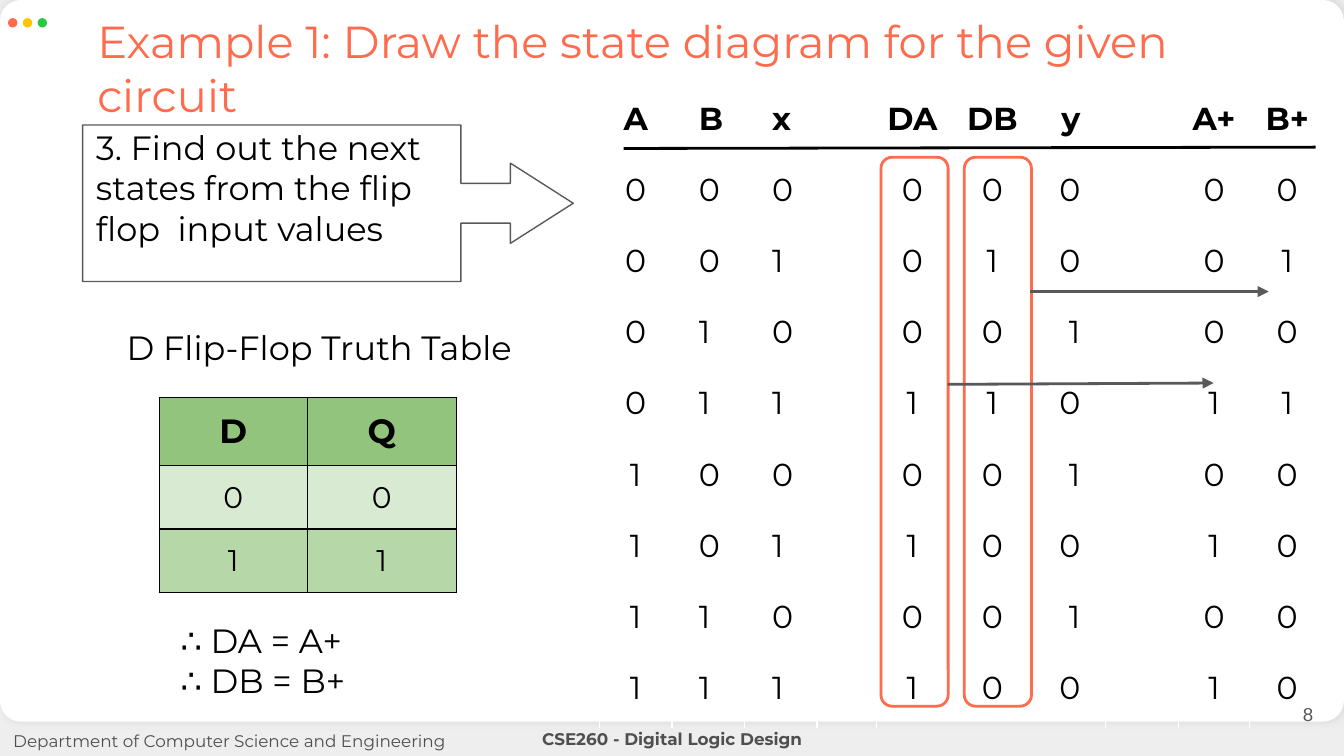
from lxml import etree
from pptx import Presentation
from pptx.dml.color import RGBColor
from pptx.enum.shapes import MSO_CONNECTOR, MSO_SHAPE
from pptx.enum.text import MSO_ANCHOR, MSO_AUTO_SIZE, PP_ALIGN
from pptx.oxml import parse_xml
from pptx.oxml.ns import nsdecls, qn
from pptx.util import Emu, Pt

LEFT, CENTER, RIGHT = PP_ALIGN.LEFT, PP_ALIGN.CENTER, PP_ALIGN.RIGHT
TOP, MIDDLE = MSO_ANCHOR.TOP, MSO_ANCHOR.MIDDLE
ROUNDED, OVAL = MSO_SHAPE.ROUNDED_RECTANGLE, MSO_SHAPE.OVAL
CALLOUT = MSO_SHAPE.RIGHT_ARROW_CALLOUT
STRAIGHT = MSO_CONNECTOR.STRAIGHT

EMU_PER_PX = 4572  # 200 px to the inch
COLORS = {
    "background": "EEEEEE", "white": "FFFFFF", "black": "000000",
    "accent": "FF6B4D", "yellow": "FFC600", "green": "28C840",
    "gray": "595959", "footer": "4F4F4F",
    "header": "93C47D", "light row": "D9EAD3", "dark row": "B6D7A8",
}
PLAIN_TABLE_STYLE = "{2D5ABB26-0587-4C30-8999-92F81FD0307C}"

STATE_HEADER = ["A", "B", "x", "", "DA", "DB", "y", "", "A+", "B+"]
# Each row holds A B x, DA DB y, A+ B+
STATE_ROWS = ["000 000 00", "001 010 01", "010 001 00", "011 110 11",
              "100 001 00", "101 100 10", "110 001 00", "111 100 10"]
STATE_WIDTHS = [108, 108, 108, 88, 116, 114, 112, 108, 106, 112]
# Left inset, right inset and alignment where a column is not plainly centred
COLUMN_LAYOUT = {1: (40, 0, LEFT), 2: (41, 0, LEFT), 4: (0, 8, CENTER), 6: (0, 38, RIGHT)}
UNRULED_COLUMNS = (4, 5, 6)


def px(*values):
    """Turn px into EMU."""
    lengths = [Emu(value * EMU_PER_PX) for value in values]
    return lengths if len(lengths) > 1 else lengths[0]


def color(name):
    return RGBColor.from_string(COLORS[name])


def set_values(target, values):
    for name, value in values.items():
        setattr(target, name, value)


def set_margins(target, left, top, right, bottom):
    set_values(target, {"margin_left": px(left), "margin_top": px(top),
                        "margin_right": px(right), "margin_bottom": px(bottom)})


def write_text(frame, lines, size, ink="black", font="Montserrat", bold=False, align=LEFT):
    for index, line in enumerate(lines):
        paragraph = frame.paragraphs[0] if index == 0 else frame.add_paragraph()
        paragraph.alignment = align
        run = paragraph.add_run()
        run.text = line
        set_values(run.font, {"name": font, "size": Pt(size), "bold": bold})
        run.font.color.rgb = color(ink)


def format_frame(frame, anchor=TOP, margins=(20, 20, 20, 20)):
    set_values(frame, {"word_wrap": True, "auto_size": MSO_AUTO_SIZE.NONE,
                       "vertical_anchor": anchor})
    set_margins(frame, *margins)


def add_text(slide, box, lines, size, anchor=TOP, **style):
    frame = slide.shapes.add_textbox(*px(*box)).text_frame
    format_frame(frame, anchor)
    write_text(frame, lines, size, **style)


def add_shape(shapes, kind, box, fill=None, line=None, width=0.75, adjustments=()):
    shape = shapes.add_shape(kind, *px(*box))
    shape.shadow.inherit = False
    for index, value in enumerate(adjustments):
        shape.adjustments[index] = value
    if fill:
        shape.fill.solid()
        shape.fill.fore_color.rgb = color(fill)
    else:
        shape.fill.background()
    if line:
        shape.line.color.rgb = color(line)
        shape.line.width = Pt(width)
    else:
        shape.line.fill.background()
    return shape


def add_line(slide, start, end, ink, arrow=False):
    connector = slide.shapes.add_connector(STRAIGHT, *px(*start, *end))
    connector.line.color.rgb = color(ink)
    connector.line.width = Pt(1.5)
    if arrow:
        etree.SubElement(connector.line._get_or_add_ln(), qn("a:tailEnd"), type="triangle")
    etree.SubElement(connector._element.spPr, qn("a:effectLst"))


def add_panel(slide):
    panel = add_shape(slide.shapes, ROUNDED, (0, 0, 2000, 1074), "white", adjustments=[0.029])
    effects = panel._element.spPr.find(qn("a:effectLst"))
    effects.append(parse_xml(
        f'<a:outerShdw {nsdecls("a")} blurRad="57150" dist="19050" dir="0">'
        '<a:srgbClr val="000000"><a:alpha val="9000"/></a:srgbClr></a:outerShdw>'))


def add_title(slide, text):
    title = slide.shapes.title
    # Bring the title in front of the panel
    title._element.getparent().append(title._element)
    set_values(title, dict(zip(("left", "top", "width", "height"), px(122, 0, 1752, 202))))
    format_frame(title.text_frame, margins=(23, 20, 20, 20))
    write_text(title.text_frame, [text], 24, ink="accent")


def add_table(slide, left, top, widths, heights):
    box = px(left, top, sum(widths), sum(heights))
    table = slide.shapes.add_table(len(heights), len(widths), *box).table
    table._tbl.tblPr.find(qn("a:tableStyleId")).text = PLAIN_TABLE_STYLE
    set_values(table, {"first_row": False, "horz_banding": False})
    for column, width in zip(table.columns, widths):
        column.width = px(width)
    for row, height in zip(table.rows, heights):
        row.height = px(height)
    return table


def add_borders(cell, edges, ink):
    for edge in edges:
        cell._tc.get_or_add_tcPr().append(parse_xml(
            f'<a:ln{edge} {nsdecls("a")} w="9525"><a:solidFill>'
            f'<a:srgbClr val="{COLORS[ink]}"/></a:solidFill></a:ln{edge}>'))


def add_truth_table(slide):
    table = add_table(slide, 237, 592, [220, 222], [88, 84, 84])
    rows = [("DQ", "header", 18), ("00", "light row", 16), ("11", "dark row", 16)]
    for row, (values, fill, size) in enumerate(rows):
        for column, value in enumerate(values):
            cell = table.cell(row, column)
            add_borders(cell, "LRTB", "black")
            cell.fill.solid()
            cell.fill.fore_color.rgb = color(fill)
            cell.vertical_anchor = MIDDLE
            set_margins(cell, 20, 20, 20, 20)
            write_text(cell.text_frame, [value], size, bold=row == 0, align=CENTER)


def add_state_table(slide):
    rows = [STATE_HEADER] + [[value.strip() for value in row] for row in STATE_ROWS]
    table = add_table(slide, 892, 130, STATE_WIDTHS, [106] * len(rows))
    for row, values in enumerate(rows):
        for column, value in enumerate(values):
            cell = table.cell(row, column)
            if column not in UNRULED_COLUMNS:
                add_borders(cell, "L", "white")
            cell.fill.background()
            left, right, align = COLUMN_LAYOUT.get(column, (0, 0, CENTER))
            set_margins(cell, left, 18, right, 0)
            if value:
                write_text(cell.text_frame, [value], 17, bold=row == 0, align=align)


def main():
    presentation = Presentation()
    presentation.slide_width, presentation.slide_height = px(2000, 1125)
    slide = presentation.slides.add_slide(presentation.slide_layouts[5])
    slide.background.fill.solid()
    slide.background.fill.fore_color.rgb = color("background")

    # Window frame with its three dots
    add_panel(slide)
    add_text(slide, (1854, 1020, 120, 86), ["8"], 10, MIDDLE, ink="gray", font="Arial",
             align=RIGHT)
    dots = slide.shapes.add_group_shape()
    for index, fill in enumerate(("accent", "yellow", "green")):
        add_shape(dots.shapes, OVAL, (12 + 22 * index, 27, 14, 14), fill)

    # Title and footer
    add_title(slide, "Example 1: Draw the state diagram for the given circuit")
    add_text(slide, (0, 1067, 1108, 74), ["Department of Computer Science and Engineering"], 9,
             ink="footer")
    add_text(slide, (644, 1064, 712, 70), ["CSE260 - Digital Logic Design"], 9,
             ink="footer", bold=True, align=CENTER)

    # Step, truth table and conclusions
    callout = add_shape(slide.shapes, CALLOUT, (123, 186, 730, 233), "white", "gray",
                        adjustments=[0.254, 0.256, 0.401, 0.771])
    format_frame(callout.text_frame, margins=(20, 3, 20, 0))
    write_text(callout.text_frame,
               ["3. Find out the next  states from the flip flop  input values"], 18)
    add_text(slide, (249, 902, 442, 154), ["∴ DA = A+", "∴ DB = B+"], 18)
    add_truth_table(slide)
    add_text(slide, (169, 467, 640, 100), ["D Flip-Flop Truth Table"], 18)

    # State table with flip-flop inputs leading to next states
    add_state_table(slide)
    for left in (1311, 1435):
        add_shape(slide.shapes, ROUNDED, (left, 234, 100, 817), line="accent", width=1.5,
                  adjustments=[0.167])
    add_line(slide, (1410, 572), (1806, 570), "gray", arrow=True)
    add_line(slide, (1533, 434), (1888, 434), "gray", arrow=True)
    add_line(slide, (928, 221), (1958, 219), "black")

    presentation.save("out.pptx")


if __name__ == "__main__":
    main()
